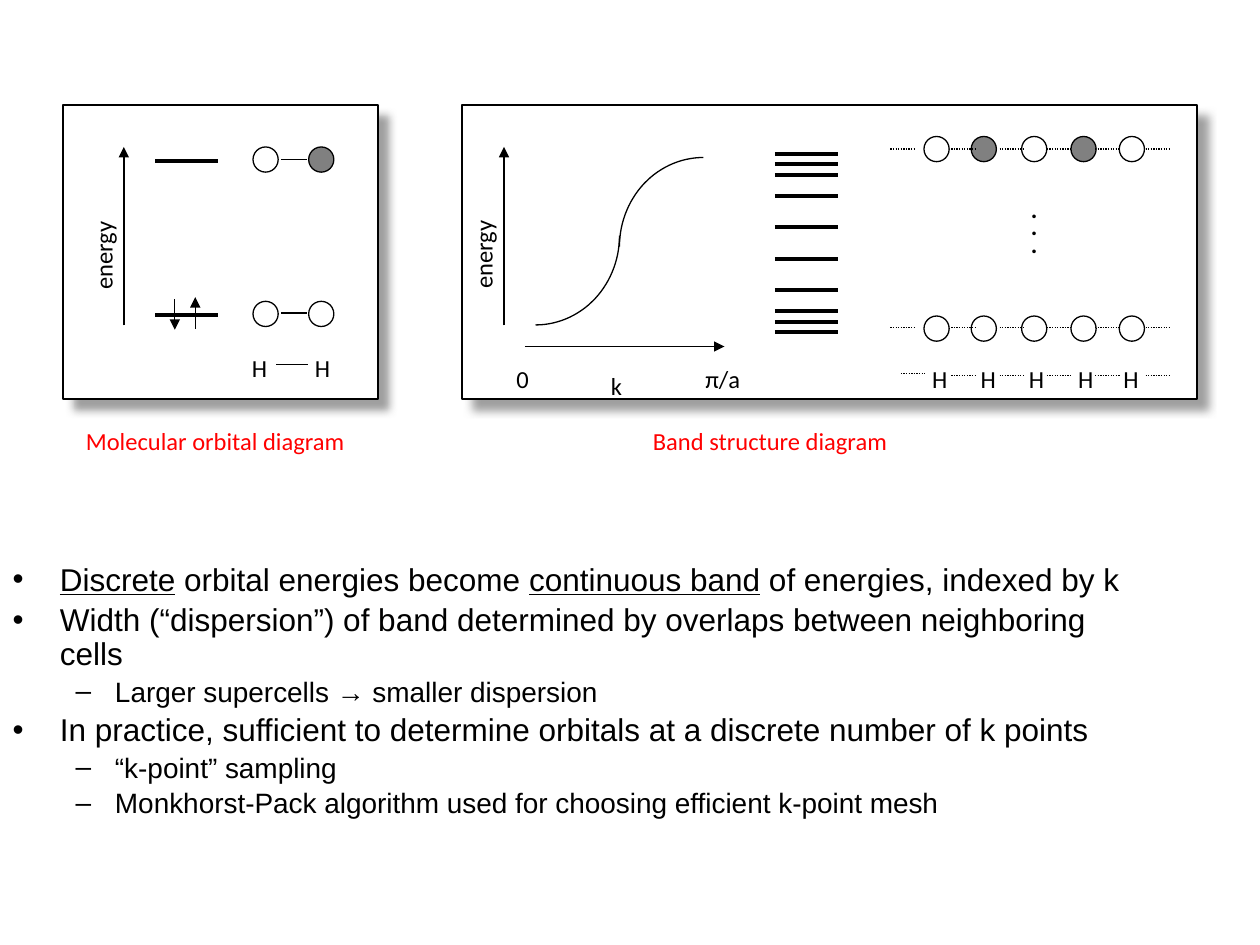
import math
from dataclasses import dataclass
from typing import Optional

from lxml import etree
from pptx import Presentation
from pptx import util as u
from pptx.dml.color import RGBColor
from pptx.enum import dml, shapes, text
from pptx.oxml.ns import qn

BLACK = RGBColor(0, 0, 0)
WHITE = RGBColor(255, 255, 255)
GRAY = RGBColor(128, 128, 128)
RED = RGBColor(255, 0, 0)
COLUMNS = 120
WIDTH, HEIGHT = u.Inches(10), u.Inches(7.5)
ATOM = 2.4
LINK = 2.36
TEXT_ROWS = 4


@dataclass
class Segment:
    x1: float
    y1: float
    x2: float
    y2: float
    width: float = 0.75
    arrow: bool = False
    dotted: bool = False


@dataclass
class Atom:
    x: float
    y: float
    fill: Optional[RGBColor] = None


@dataclass
class Label:
    words: str
    x: float
    y: float
    w: float
    h: float = TEXT_ROWS
    color: RGBColor = BLACK
    bold: bool = False
    rotation: int = 0
    spacing: Optional[float] = None


@dataclass
class QuarterArc:
    cx: float
    cy: float
    rx: float
    ry: float
    start: int


def grid(n: float) -> int:
    return round(WIDTH * n / COLUMNS)


def style(sp, fill: Optional[RGBColor]) -> None:
    sp.shadow.inherit = False
    if fill is None:
        sp.fill.background()
    else:
        sp.fill.solid()
        sp.fill.fore_color.rgb = fill
    sp.line.color.rgb = BLACK
    sp.line.width = u.Pt(0.75)


def draw_panel(s, x: float, y: float, w: float, h: float) -> None:
    sp = s.shapes.add_shape(shapes.MSO_SHAPE.RECTANGLE, *map(grid, (x, y, w, h)))
    style(sp, WHITE)
    effects = sp._element.spPr.find(qn("a:effectLst"))
    shadow = etree.SubElement(effects, qn("a:outerShdw"), blurRad=str(u.Pt(5)),
                              dist=str(u.Pt(8.5)), dir=str(45 * 60000),
                              algn="tl", rotWithShape="0")
    color = etree.SubElement(shadow, qn("a:srgbClr"), val=str(GRAY))
    etree.SubElement(color, qn("a:alpha"), val="75000")


def draw_segment(s, seg: Segment) -> None:
    c = s.shapes.add_connector(shapes.MSO_CONNECTOR.STRAIGHT,
                               *map(grid, (seg.x1, seg.y1, seg.x2, seg.y2)))
    c.line.color.rgb = BLACK
    c.line.width = u.Pt(seg.width)
    if seg.dotted:
        c.line.dash_style = dml.MSO_LINE.ROUND_DOT
    spPr = c._element.spPr
    if seg.arrow:
        etree.SubElement(spPr.find(qn("a:ln")), qn("a:tailEnd"), type="triangle")
    etree.SubElement(spPr, qn("a:effectLst"))


def draw_atom(s, atom: Atom) -> None:
    sp = s.shapes.add_shape(shapes.MSO_SHAPE.OVAL, grid(atom.x), grid(atom.y),
                            grid(ATOM), grid(ATOM))
    style(sp, atom.fill)


def draw_arc(s, arc: QuarterArc) -> None:
    points = [(grid(arc.cx + arc.rx * math.cos(math.radians(a))),
               grid(arc.cy + arc.ry * math.sin(math.radians(a))))
              for a in range(arc.start, arc.start + 91, 3)]
    builder = s.shapes.build_freeform(*points[0])
    builder.add_line_segments(points[1:], close=False)
    style(builder.convert_to_shape(), None)


def add_run(p, words: str, *, size: float, font: str = "Calibri",
            color: RGBColor = BLACK, bold: bool = False, underline: bool = False) -> None:
    r = p.add_run()
    r.text = words
    r.font.name, r.font.size = font, u.Pt(size)
    r.font.color.rgb = color
    r.font.bold, r.font.underline = bold, underline


def draw_label(s, label: Label) -> None:
    sp = s.shapes.add_textbox(*map(grid, (label.x, label.y, label.w, label.h)))
    sp.rotation = label.rotation
    tf = sp.text_frame
    tf.word_wrap = False
    tf.auto_size = text.MSO_AUTO_SIZE.SHAPE_TO_FIT_TEXT
    for i, words in enumerate(label.words.split("\n")):
        p = tf.add_paragraph() if i else tf.paragraphs[0]
        p.line_spacing = label.spacing
        add_run(p, words, size=14, color=label.color, bold=label.bold)


def fill_body(body, bullets) -> None:
    body.left, body.top = 0, round(HEIGHT * 0.59)
    body.width, body.height = round(WIDTH * 0.9), u.Inches(2.27)
    tf = body.text_frame
    tf.auto_size = text.MSO_AUTO_SIZE.NONE
    for i, (level, parts) in enumerate(bullets):
        p = tf.add_paragraph() if i else tf.paragraphs[0]
        p.level = level
        p.line_spacing = 0.9
        for j, words in enumerate(parts):
            add_run(p, words, size=18 - 2 * level, font="Arial",
                    underline=len(parts) > 1 and j % 2 == 0)


BULLETS = [
    (0, ["Discrete", " orbital energies become ", "continuous band",
         " of energies, indexed by k"]),
    (0, ["Width (“dispersion”) of band determined by overlaps between neighboring cells"]),
    (1, ["Larger supercells → smaller dispersion"]),
    (0, ["In practice, sufficient to determine orbitals at a discrete number of k points"]),
    (1, ["“k-point” sampling"]),
    (1, ["Monkhorst-Pack algorithm used for choosing efficient k-point mesh"]),
]
PANELS = [(44, 10, 70, 28), (6, 10, 30, 28)]
CHAIN_X = [88, 92.5, 97.3, 102, 106.6]
LINK_X = [84.8, 90.6, 95.2, 99.7, 104.3, 109.1]
BAND_STEPS = [0, 1, 2, 4, 7, 10, 13, 15, 16, 17]

ATOMS = [Atom(24.1, 28.7), Atom(29.4, 28.7, WHITE),
         Atom(24.1, 14), Atom(29.4, 14, GRAY)]
ATOMS += [Atom(x, 30.1) for x in CHAIN_X]
ATOMS += [Atom(x, 13, GRAY if i % 2 else None) for i, x in enumerate(CHAIN_X)]

SEGMENTS = [Segment(26.8, y, 29.2, y) for y in (29.8, 15.2)]
SEGMENTS += [Segment(14.8, y, 20.8, y, 2.25) for y in (30, 15.35)]
SEGMENTS += [Segment(73.8, 14.65 + n, 79.8, 14.65 + n, 2.25) for n in BAND_STEPS]
SEGMENTS += [Segment(x, y, x + LINK, y, dotted=True)
             for y in (31.2, 14.2) for x in LINK_X]
SEGMENTS += [Segment(x, y, x + LINK, y, dotted=True)
             for x, y in [(85.8, 35.6)] + [(x, 35.76) for x in LINK_X[1:]]]
SEGMENTS += [
    Segment(26.3, 34.7, 29.3, 34.7),
    Segment(16.65, 28.5, 16.65, 31.4, arrow=True),
    Segment(18.6, 31.3, 18.6, 28.3, arrow=True),
    Segment(11.8, 31, 11.8, 14, arrow=True),
    Segment(48, 31, 48, 14, arrow=True),
    Segment(50, 33, 69, 33, arrow=True),
]
ARCS = [QuarterArc(51, 22.45, 8, 8.5, 0), QuarterArc(67, 23.5, 8, 8.5, 180)]

LABELS = [Label("H", x, 33, 3.84) for x in (22.8, 28.8)]
LABELS += [Label("H", x, 34.1, 3.84) for x in (87.6, 92.2, 96.8, 101.5, 105.8)]
LABELS += [
    Label(".\n.\n.", 97, 18.84, 3, 6.24, bold=True, spacing=0.6),
    Label("energy", 5.3, 22.3, 9, rotation=270),
    Label("energy", 41.5, 22.2, 9, rotation=270),
    Label("k", 57, 34.7, 3.5),
    Label("0", 48, 34.1, 3.6),
    Label("π/a", 66, 34.1, 5.76),
    Label("Molecular orbital diagram", 7, 40, 27.1, color=RED),
    Label("Band structure diagram", 61, 40, 24.8, color=RED),
]


def main() -> None:
    prs = Presentation()
    prs.slide_width, prs.slide_height = WIDTH, HEIGHT
    s = prs.slides.add_slide(prs.slide_layouts[1])
    title = s.shapes.title._element
    title.getparent().remove(title)
    fill_body(s.placeholders[1], BULLETS)
    for panel in PANELS:
        draw_panel(s, *panel)
    for draw, items in ((draw_atom, ATOMS), (draw_segment, SEGMENTS),
                        (draw_arc, ARCS), (draw_label, LABELS)):
        for item in items:
            draw(s, item)
    prs.save("out.pptx")


if __name__ == "__main__":
    main()
